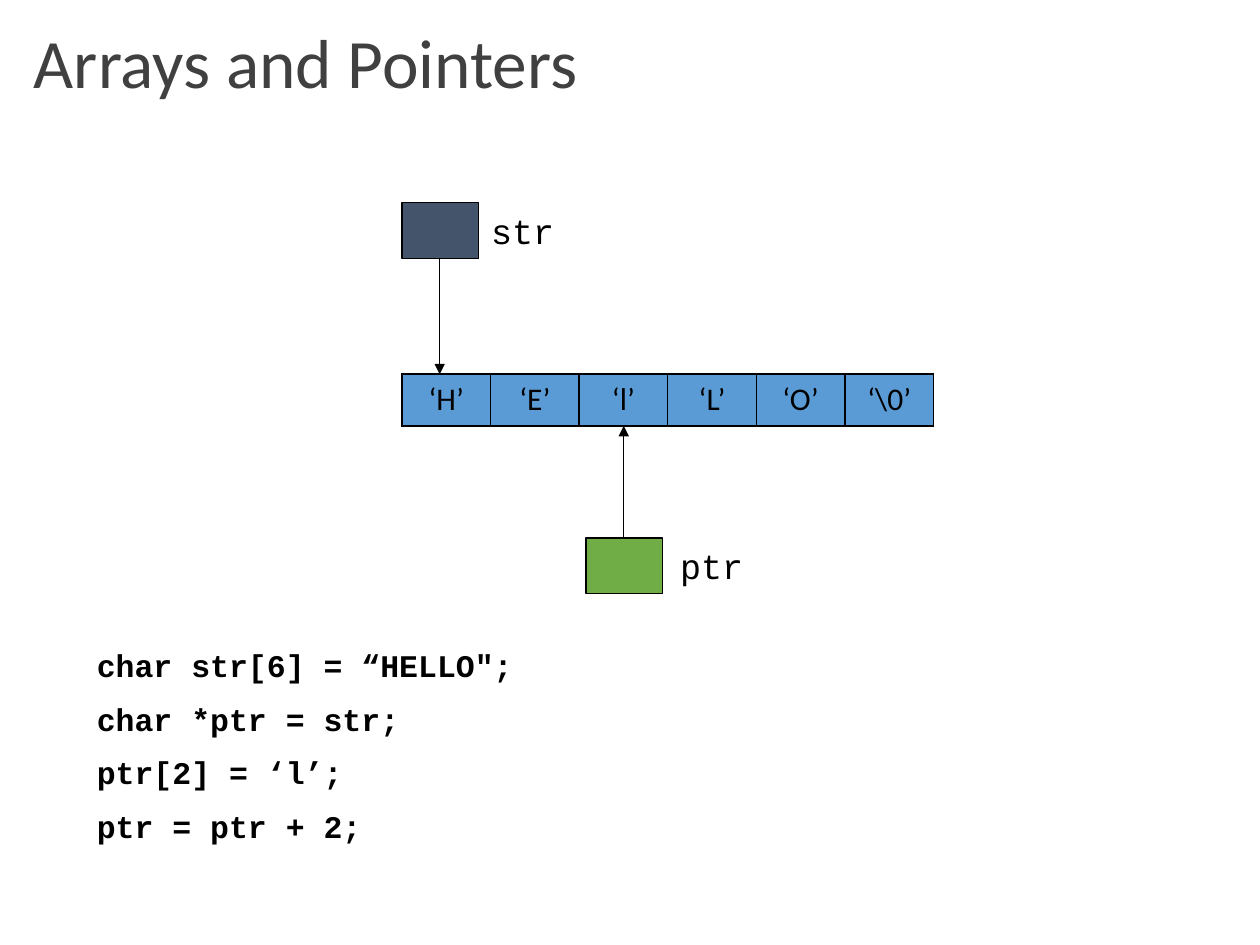
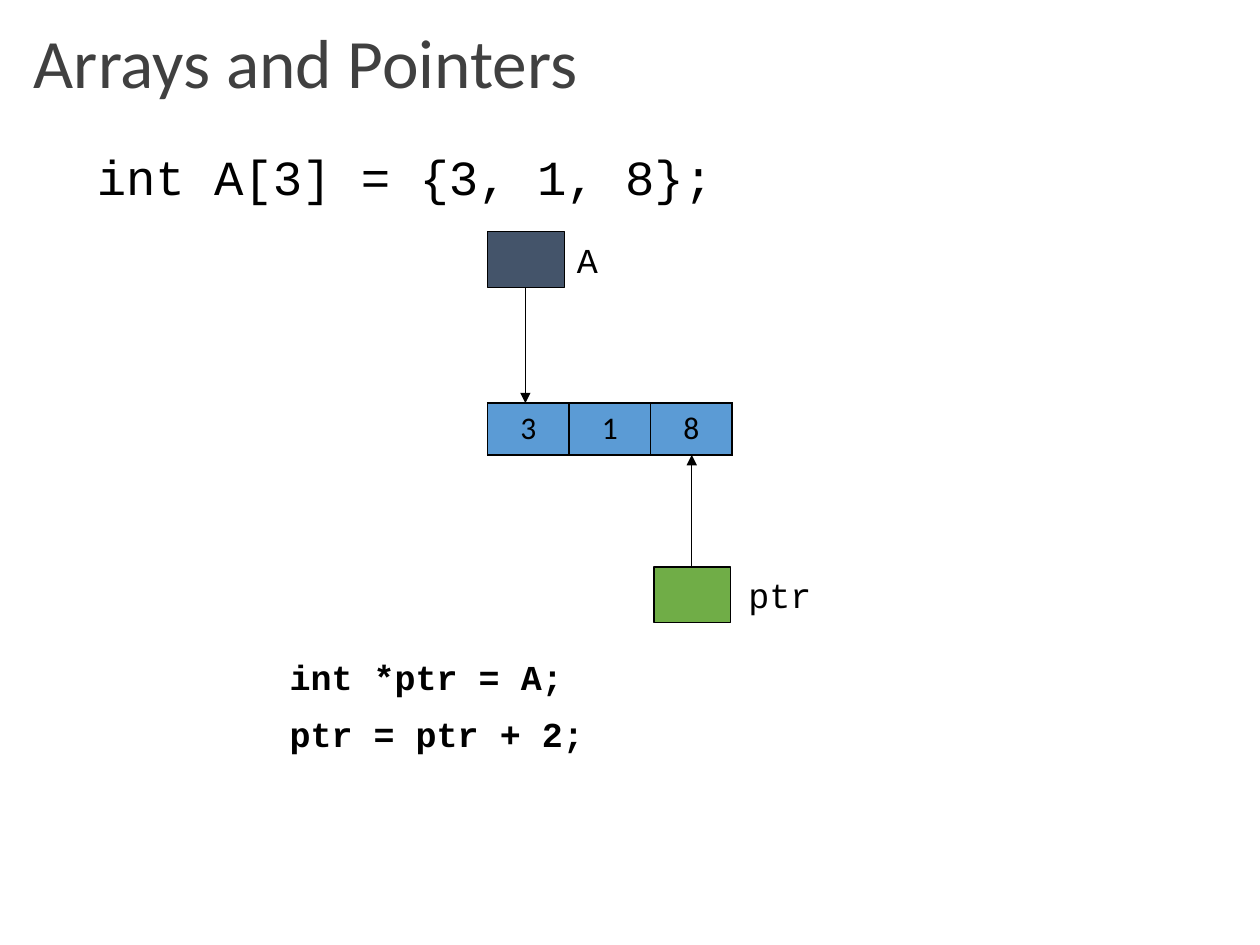
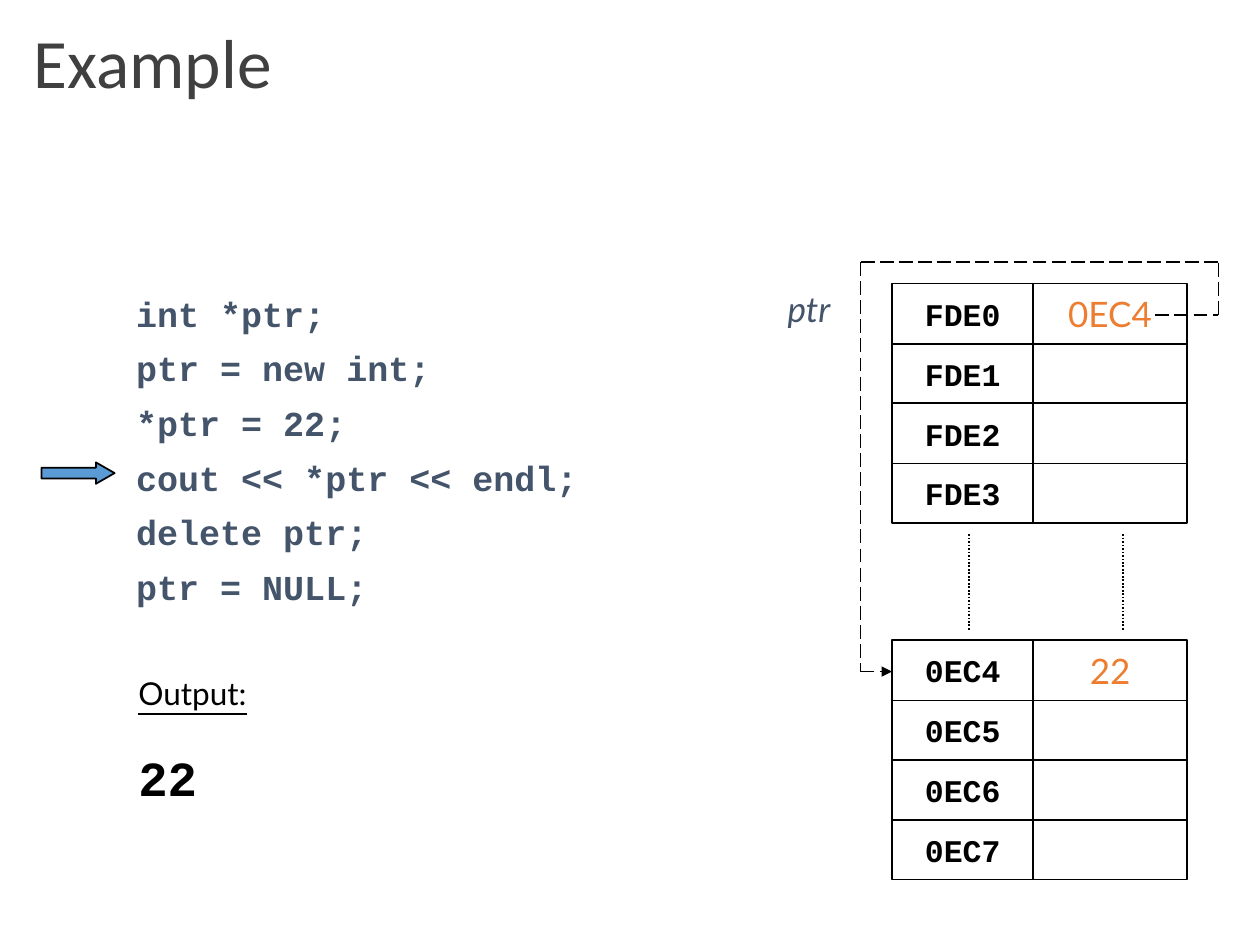
from dataclasses import dataclass
from typing import NamedTuple

from lxml import etree
from pptx import Presentation
from pptx.dml.color import RGBColor
from pptx.enum.dml import MSO_LINE
from pptx.enum.shapes import MSO_CONNECTOR, MSO_SHAPE
from pptx.enum.text import MSO_ANCHOR, PP_ALIGN
from pptx.oxml.ns import qn
from pptx.util import Pt

PX = 9144  # 100 px to the inch

BLACK = RGBColor(0x00, 0x00, 0x00)
TITLE_GREY = RGBColor(0x40, 0x40, 0x40)
SLATE = RGBColor(0x44, 0x54, 0x6A)
GREEN = RGBColor(0x70, 0xAD, 0x47)
BLUE = RGBColor(0x5B, 0x9B, 0xD5)
ORANGE = RGBColor(0xED, 0x7D, 0x31)

STRAIGHT = MSO_CONNECTOR.STRAIGHT
RECTANGLE = MSO_SHAPE.RECTANGLE
RIGHT_ARROW = MSO_SHAPE.RIGHT_ARROW
LONG_DASH = MSO_LINE.LONG_DASH
CENTER = PP_ALIGN.CENTER
MIDDLE = MSO_ANCHOR.MIDDLE

POINTER_W, POINTER_H = 61, 44
ARRAY_DROP, ARRAY_H = 136, 41
SECOND_POINTER_DROP = 266
ADDRESS_X, ADDRESS_W = 708, 112
VALUE_X, VALUE_W = 820, 122


class Box(NamedTuple):
    x: int
    y: int
    w: int
    h: int

    def emu(self) -> list[int]:
        return [side * PX for side in self]


@dataclass(frozen=True)
class Style:
    font: str
    size: float
    color: RGBColor = BLACK
    bold: bool = False
    italic: bool = False
    underline: bool = False


TITLE = Style("Calibri", 39.6, TITLE_GREY)
CELL = Style("Calibri", 18)
LABEL = Style("Courier New", 20)
DECLARATION = Style("Courier New", 28)
CODE_18 = Style("Courier New", 18, bold=True)
CODE_20 = Style("Courier New", 20, bold=True)
LISTING = Style("Courier New", 20, SLATE, bold=True)
POINTER_NAME = Style("Lato", 20, SLATE, italic=True)
VALUE = Style("Lato", 20, ORANGE)
OUTPUT_HEADING = Style("Lato", 18, underline=True)
OUTPUT = Style("Courier New", 28, bold=True)


@dataclass(frozen=True)
class ArrayDiagram:
    """An array, the name that points to its start, and ptr further along."""
    name: str
    cells: list[str]
    x: int
    y: int
    width: int
    ptr_x: int


@dataclass(frozen=True)
class MemoryBlock:
    y: int
    addresses: list[str]
    first_value: str


def style_paragraph(paragraph, style: Style) -> None:
    for run in paragraph.runs:
        font = run.font
        font.name, font.size = style.font, Pt(style.size)
        font.color.rgb = style.color
        font.bold, font.italic, font.underline = style.bold, style.italic, style.underline


def add_text(slide, box: Box, text: str, style: Style, before: float = 0,
             spacing: float = 1.0, side_inset: int = 10):
    frame = slide.shapes.add_textbox(*box.emu()).text_frame
    frame.word_wrap = True
    frame.margin_left = frame.margin_right = side_inset * PX
    frame.text = text
    for paragraph in frame.paragraphs:
        paragraph.space_before = Pt(before)
        paragraph.line_spacing = spacing
        style_paragraph(paragraph, style)
    return frame


def add_title(slide, text: str) -> None:
    add_text(slide, Box(17, 18, 962, 74), text, TITLE, spacing=0.9)


def add_block(slide, box: Box, fill: RGBColor | None = None,
              line_width: float = 1, kind=RECTANGLE):
    block = slide.shapes.add_shape(kind, *box.emu())
    block.shadow.inherit = False
    if fill is None:
        block.fill.background()
    else:
        block.fill.solid()
        block.fill.fore_color.rgb = fill
    block.line.color.rgb = BLACK
    block.line.width = Pt(line_width)
    return block


def add_memory_cell(slide, box: Box, text: str, style: Style) -> None:
    frame = add_block(slide, box).text_frame
    frame.word_wrap = False
    frame.vertical_anchor = MIDDLE
    frame.text = text
    frame.paragraphs[0].alignment = CENTER
    style_paragraph(frame.paragraphs[0], style)


def add_line(slide, start: tuple[int, int], end: tuple[int, int], width: float = 1,
             dash: MSO_LINE | None = None, arrow: bool = False) -> None:
    ends = [side * PX for side in start + end]
    connector = slide.shapes.add_connector(STRAIGHT, *ends)
    connector.line.color.rgb = BLACK
    connector.line.width = Pt(width)
    if dash is not None:
        connector.line.dash_style = dash
    if arrow:
        outline = connector.line._get_or_add_ln()
        etree.SubElement(outline, qn("a:tailEnd"), type="triangle")
    etree.SubElement(connector._element.spPr, qn("a:effectLst"))


def add_cell_borders(cell) -> None:
    properties = cell._tc.get_or_add_tcPr()
    for index, side in enumerate(("lnL", "lnR", "lnT", "lnB")):
        border = etree.Element(qn(f"a:{side}"), w=str(Pt(1)))
        fill = etree.SubElement(border, qn("a:solidFill"))
        etree.SubElement(fill, qn("a:srgbClr"), val=str(BLACK))
        properties.insert(index, border)


def add_array(slide, box: Box, values: list[str]) -> None:
    table = slide.shapes.add_table(1, len(values), *box.emu()).table
    for cell, value in zip(table.iter_cells(), values):
        cell.fill.solid()
        cell.fill.fore_color.rgb = BLUE
        cell.vertical_anchor = MIDDLE
        cell.text = value
        paragraph = cell.text_frame.paragraphs[0]
        paragraph.alignment = CENTER
        style_paragraph(paragraph, CELL)
        add_cell_borders(cell)


def add_pointer(slide, x: int, y: int, name: str, fill: RGBColor,
                label_gap: int, arrow_from: int, arrow_to: int) -> None:
    add_block(slide, Box(x, y, POINTER_W, POINTER_H), fill, 0.75)
    add_text(slide, Box(x + POINTER_W + label_gap, y, 151, 43), name, LABEL, before=10)
    arrow_x = x + POINTER_W // 2
    add_line(slide, (arrow_x, arrow_from), (arrow_x, arrow_to), 0.5, arrow=True)


def add_array_diagram(slide, diagram: ArrayDiagram) -> None:
    x, y = diagram.x, diagram.y
    array_y = y + ARRAY_DROP
    ptr_y = y + SECOND_POINTER_DROP
    add_array(slide, Box(x, array_y, diagram.width, ARRAY_H), diagram.cells)
    add_pointer(slide, x, y, diagram.name, SLATE, 0, y + POINTER_H, array_y)
    add_pointer(slide, diagram.ptr_x, ptr_y, "ptr", GREEN, 4, ptr_y, array_y + ARRAY_H)


def add_memory(slide, block: MemoryBlock) -> None:
    edges = [block.y + (95 * row + 1) // 2 for row in range(len(block.addresses) + 1)]
    for row, address in enumerate(block.addresses):
        top, height = edges[row], edges[row + 1] - edges[row]
        value = "" if row else block.first_value
        add_memory_cell(slide, Box(VALUE_X, top, VALUE_W, height), value, VALUE)
        add_memory_cell(slide, Box(ADDRESS_X, top, ADDRESS_W, height), address, CODE_18)


def build_string_slide(slide) -> None:
    add_title(slide, "Arrays and Pointers")
    add_array_diagram(slide, ArrayDiagram(
        "str", ["‘H’", "‘E’", "‘l’", "‘L’", "‘O’", "‘\\0’"], 319, 161, 422, 465))
    code = "char str[6] = “HELLO\";\nchar *ptr = str;\nptr[2] = ‘l’;\nptr = ptr + 2;"
    add_text(slide, Box(67, 508, 573, 164), code, CODE_18, before=9)


def build_integer_slide(slide) -> None:
    add_title(slide, "Arrays and Pointers")
    add_text(slide, Box(67, 117, 573, 164), "int A[3] = {3, 1, 8};", DECLARATION,
             before=10, spacing=0.9)
    add_array_diagram(slide, ArrayDiagram("A", ["3", "1", "8"], 387, 184, 194, 519))
    add_text(slide, Box(220, 515, 426, 164), "int *ptr = A;\nptr = ptr + 2;",
             CODE_20, before=9)


def build_example_slide(slide) -> None:
    add_title(slide, "Example")
    code = ("int *ptr;\nptr = new int;\n*ptr = 22;\ncout << *ptr << endl;\n"
            "delete ptr;\nptr = NULL;")
    add_text(slide, Box(108, 217, 425, 292), code, LISTING, spacing=1.3, side_inset=0)
    current_step = add_block(slide, Box(33, 367, 58, 17), BLUE, kind=RIGHT_ARROW)
    current_step.adjustments[1] = 0.875

    add_memory(slide, MemoryBlock(225, ["FDE0", "FDE1", "FDE2", "FDE3"], "0EC4"))
    add_memory(slide, MemoryBlock(508, ["0EC4", "0EC5", "0EC6", "0EC7"], "22"))
    for x in (769, 891):
        add_line(slide, (x, 424), (x, 500), dash=MSO_LINE.ROUND_DOT)
    add_text(slide, Box(625, 223, 75, 43), "ptr", POINTER_NAME, before=10, side_inset=0)

    route = [(917, 250), (967, 250), (967, 208), (683, 208), (683, 533), (ADDRESS_X, 533)]
    for start, end in zip(route, route[1:]):
        add_line(slide, start, end, dash=LONG_DASH, arrow=end == route[-1])

    output = add_text(slide, Box(100, 536, 242, 122), "Output:\n22", OUTPUT_HEADING,
                      spacing=0.8)
    printed = output.paragraphs[1]
    printed.space_before = Pt(27)
    style_paragraph(printed, OUTPUT)


def main() -> None:
    deck = Presentation()
    deck.slide_width, deck.slide_height = 1000 * PX, 750 * PX
    blank = deck.slide_layouts[6]
    for build in (build_string_slide, build_integer_slide, build_example_slide):
        build(deck.slides.add_slide(blank))
    deck.save("out.pptx")


if __name__ == "__main__":
    main()
